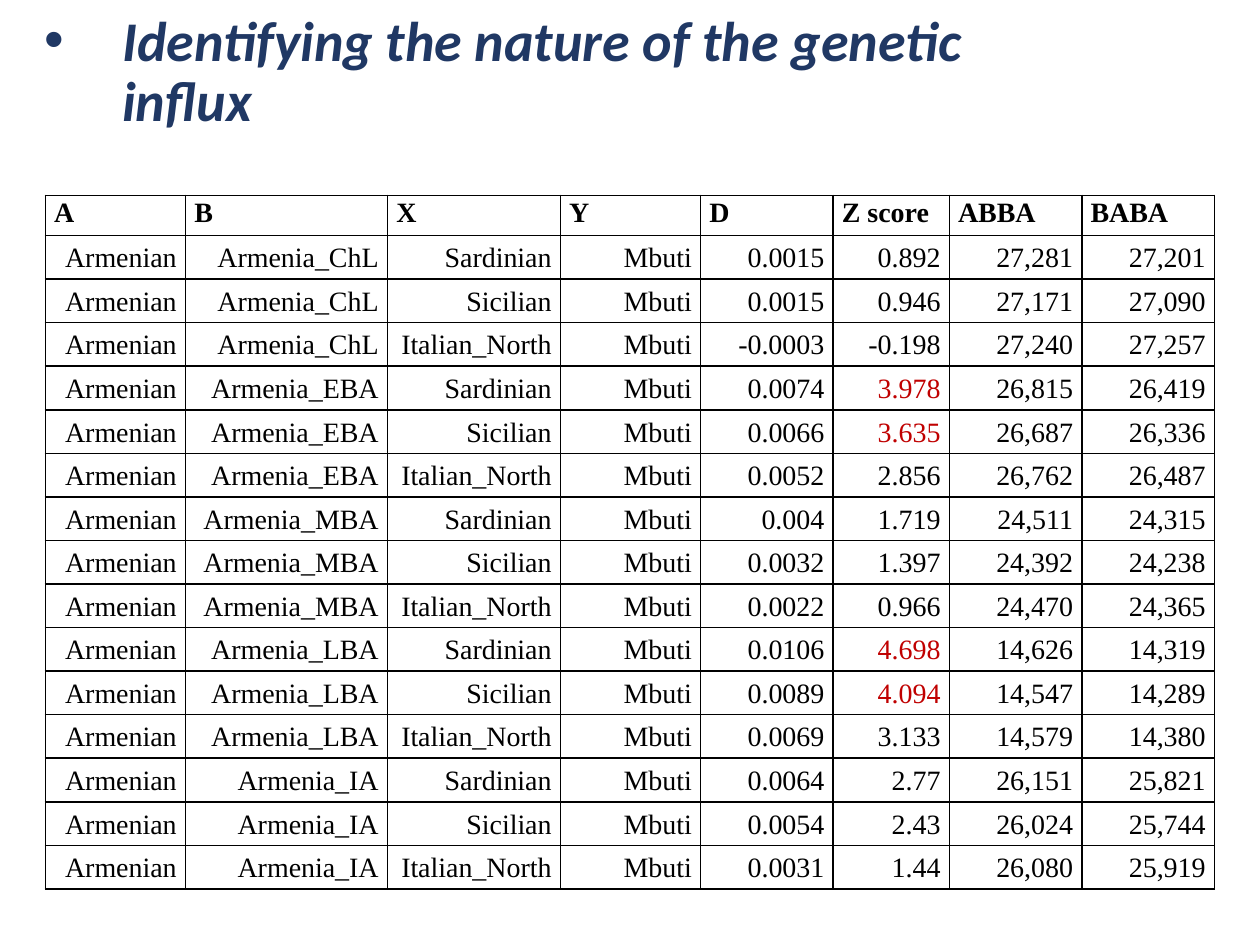
from typing import NamedTuple

from lxml import etree
from pptx import Presentation, util as u
from pptx.dml.color import RGBColor
from pptx.enum import text
from pptx.oxml import ns

WIDTH, HEIGHT = u.Inches(10), u.Inches(7.5)
BLACK, RED, NAVY = "000000", "C00000", "203864"
RED_ABOVE = 3.5  # Z scores above this are shown in red
TABLE_LEFT, TABLE_TOP, TABLE_WIDTH, TABLE_HEIGHT = 0.36, 1.55, 9.28, 5.51
HEADER_HEIGHT = 0.32
COLUMN_WEIGHTS = (1.11, 1.6, 1.37, 1.11, 1.05, 0.92, 1.05, 1.05)
HEADERS = ("A", "B", "X", "Y", "D", "Z score", "ABBA", "BABA")
PERIODS = ("ChL", "EBA", "MBA", "LBA", "IA")
POPULATIONS = ("Sardinian", "Sicilian", "Italian_North")


class Statistic(NamedTuple):
    d: str
    z_score: str
    abba: str
    baba: str


# One row per period and population, populations varying fastest
STATISTICS = (
    Statistic("0.0015", "0.892", "27,281", "27,201"),
    Statistic("0.0015", "0.946", "27,171", "27,090"),
    Statistic("-0.0003", "-0.198", "27,240", "27,257"),
    Statistic("0.0074", "3.978", "26,815", "26,419"),
    Statistic("0.0066", "3.635", "26,687", "26,336"),
    Statistic("0.0052", "2.856", "26,762", "26,487"),
    Statistic("0.004", "1.719", "24,511", "24,315"),
    Statistic("0.0032", "1.397", "24,392", "24,238"),
    Statistic("0.0022", "0.966", "24,470", "24,365"),
    Statistic("0.0106", "4.698", "14,626", "14,319"),
    Statistic("0.0089", "4.094", "14,547", "14,289"),
    Statistic("0.0069", "3.133", "14,579", "14,380"),
    Statistic("0.0064", "2.77", "26,151", "25,821"),
    Statistic("0.0054", "2.43", "26,024", "25,744"),
    Statistic("0.0031", "1.44", "26,080", "25,919"),
)


def color(value: str) -> RGBColor:
    return RGBColor.from_string(value)


def add_borders(cell) -> None:
    properties = cell._tc.get_or_add_tcPr()
    for side in ("lnL", "lnR", "lnT", "lnB"):
        line = etree.SubElement(properties, ns.qn(f"a:{side}"), w=str(u.Pt(1)))
        fill = etree.SubElement(line, ns.qn("a:solidFill"))
        etree.SubElement(fill, ns.qn("a:srgbClr"), val=BLACK)


def fill_cell(cell, content: str, is_header: bool, font_color: str) -> None:
    add_borders(cell)
    cell.fill.background()
    cell.margin_left = cell.margin_right = u.Inches(0.07)
    cell.margin_top = cell.margin_bottom = 0
    cell.vertical_anchor = text.MSO_ANCHOR.TOP if is_header else text.MSO_ANCHOR.MIDDLE
    cell.text = content
    paragraph = cell.text_frame.paragraphs[0]
    paragraph.alignment = text.PP_ALIGN.JUSTIFY if is_header else text.PP_ALIGN.RIGHT
    paragraph.line_spacing = 1.07
    paragraph.font.name = "Times New Roman"
    paragraph.font.size = u.Pt(16)
    paragraph.font.bold = is_header
    paragraph.font.color.rgb = color(font_color)


def add_statistics_table(slide) -> None:
    labels = [(period, population) for period in PERIODS for population in POPULATIONS]
    rows = [HEADERS] + [
        ("Armenian", f"Armenia_{period}", population, "Mbuti", *statistic)
        for (period, population), statistic in zip(labels, STATISTICS)
    ]
    table = slide.shapes.add_table(
        len(rows), len(HEADERS), u.Inches(TABLE_LEFT), u.Inches(TABLE_TOP),
        u.Inches(TABLE_WIDTH), u.Inches(TABLE_HEIGHT),
    ).table
    table.first_row = table.horz_banding = False
    for column, weight in zip(table.columns, COLUMN_WEIGHTS):
        column.width = u.Inches(TABLE_WIDTH * weight / sum(COLUMN_WEIGHTS))
    body_height = (TABLE_HEIGHT - HEADER_HEIGHT) / len(STATISTICS)
    z_column = HEADERS.index("Z score")
    for i, row in enumerate(rows):
        is_header = i == 0
        table.rows[i].height = u.Inches(HEADER_HEIGHT if is_header else body_height)
        for j, content in enumerate(row):
            is_red = not is_header and j == z_column and float(content) > RED_ABOVE
            fill_cell(table.cell(i, j), content, is_header, RED if is_red else BLACK)


def format_title(title) -> None:
    title.left, title.top = u.Inches(0.25), u.Inches(0.1)
    title.width, title.height = u.Inches(8.62), u.Inches(1.45)
    frame = title.text_frame
    frame.text = "Identifying the nature of the genetic influx"
    frame.word_wrap = True
    frame.auto_size = text.MSO_AUTO_SIZE.NONE
    frame.vertical_anchor = text.MSO_ANCHOR.TOP
    frame.margin_top = 0
    frame.margin_right = u.Inches(0.3)
    paragraph = frame.paragraphs[0]
    paragraph.alignment = text.PP_ALIGN.LEFT
    paragraph.line_spacing = 0.9
    properties = paragraph._p.get_or_add_pPr()
    properties.set("marL", str(u.Inches(0.62)))
    properties.set("indent", str(u.Inches(-0.62)))
    etree.SubElement(properties, ns.qn("a:buFont"), typeface="Arial")
    etree.SubElement(properties, ns.qn("a:buChar"), char="•")
    paragraph.font.name = "Calibri"
    paragraph.font.size = u.Pt(32)
    paragraph.font.bold = paragraph.font.italic = True
    paragraph.font.color.rgb = color(NAVY)


def main() -> None:
    presentation = Presentation()
    presentation.slide_width, presentation.slide_height = WIDTH, HEIGHT
    slide = presentation.slides.add_slide(presentation.slide_layouts.get_by_name("Title Only"))
    format_title(slide.shapes.title)
    add_statistics_table(slide)
    presentation.save("out.pptx")


if __name__ == "__main__":
    main()
